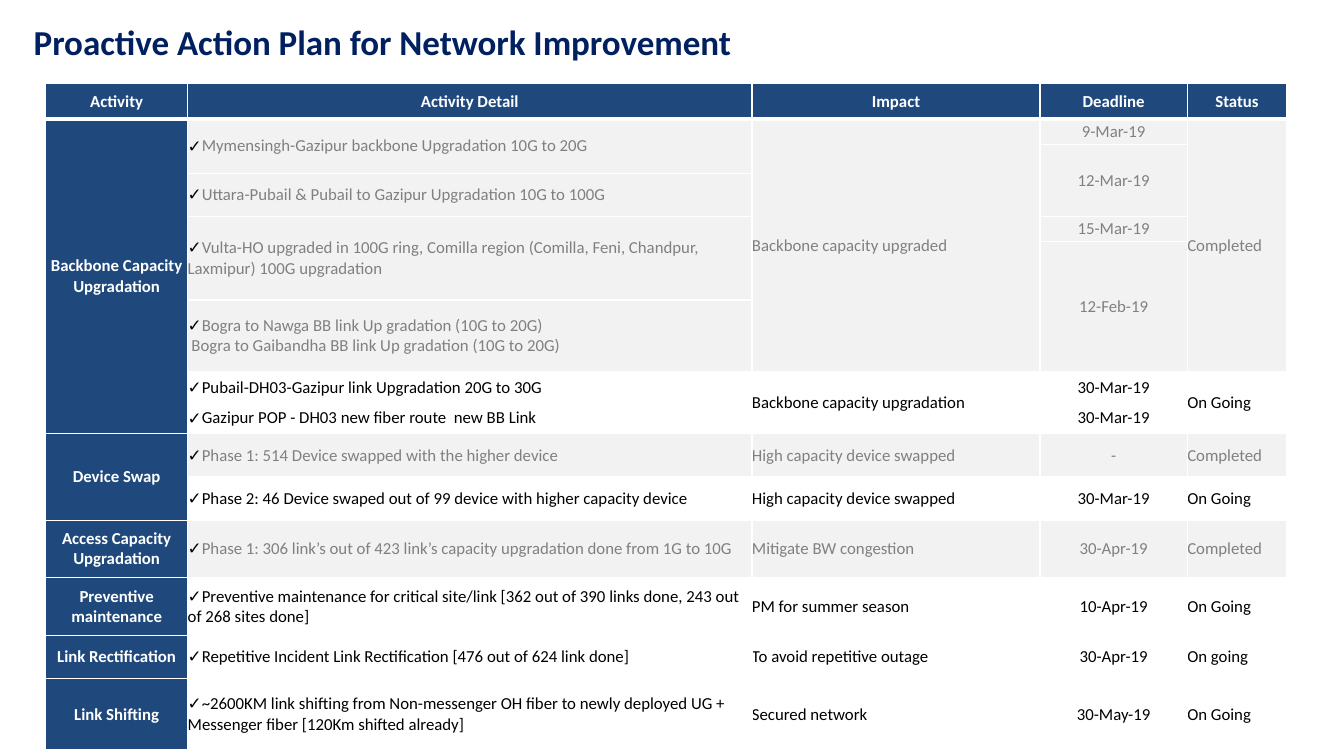
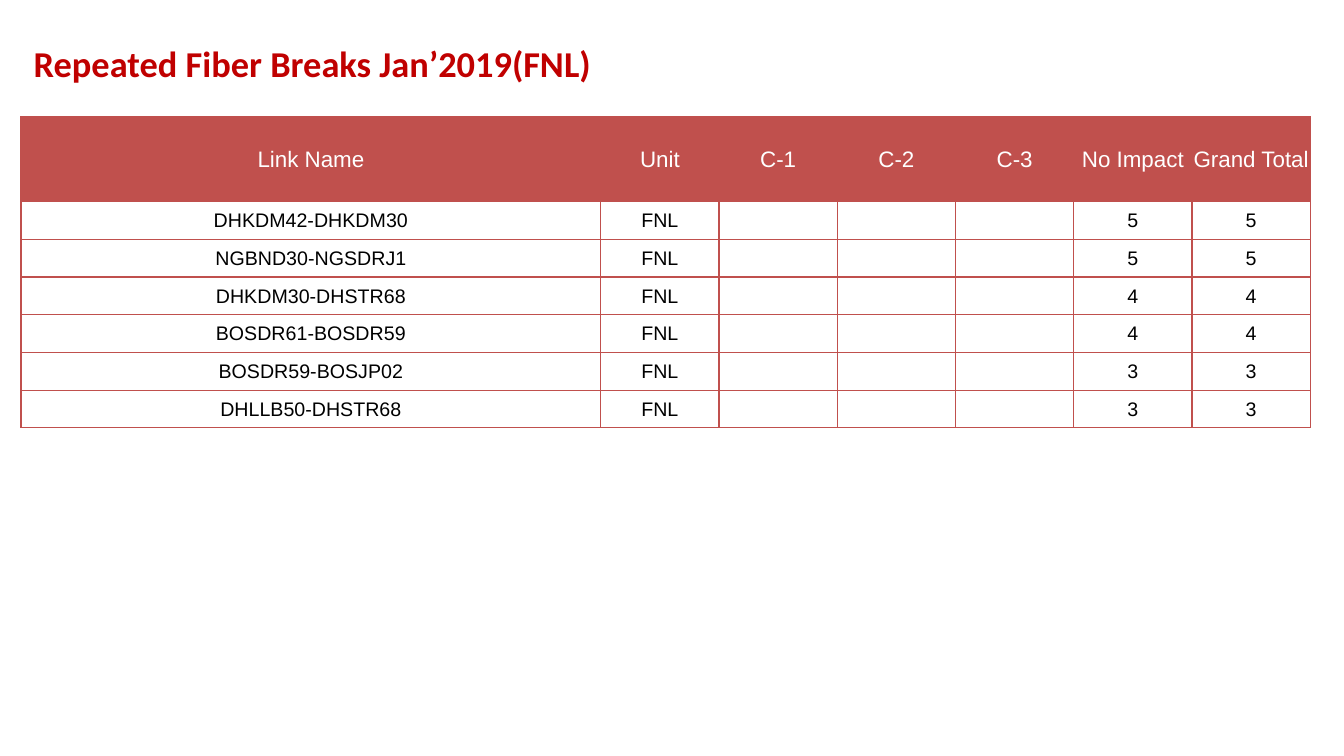
import pptx
import pptx.dml.color
import pptx.enum.text
import pptx.oxml.ns
import pptx.util
from lxml import etree

Cm = pptx.util.Cm
Pt = pptx.util.Pt
RGB = pptx.dml.color.RGBColor
ALIGN = pptx.enum.text.PP_ALIGN
MIDDLE = pptx.enum.text.MSO_ANCHOR.MIDDLE
qn = pptx.oxml.ns.qn

NAVY = RGB(0x00, 0x20, 0x60)
BLUE = RGB(0x1F, 0x49, 0x7D)
CRIMSON = RGB(0xC0, 0x00, 0x00)
BRICK = RGB(0xC0, 0x50, 0x4D)
PALE = RGB(0xF2, 0xF2, 0xF2)
GREY = RGB(0x80, 0x80, 0x80)
WHITE = RGB(0xFF, 0xFF, 0xFF)
BLACK = RGB(0x00, 0x00, 0x00)
PLAIN = "{2D5ABB26-0587-4C30-8999-92F81FD0307C}"  # table style without grid

# Each row: height in cm, then its cells; None continues the cell above.
PLAN_COLS = [3.58, 14.22, 7.26, 3.71, 2.51]
PLAN = [
    (0.89, "Activity", "Activity Detail", "Impact", "Deadline", "Status"),
    (0.64, "Backbone Capacity Upgradation",
     "Mymensingh-Gazipur backbone Upgradation 10G to 20G",
     "Backbone capacity upgraded", "9-Mar-19", "Completed"),
    (0.73, None, None, None, "12-Mar-19", None),
    (1.09, None, "Uttara-Pubail & Pubail to Gazipur Upgradation 10G to 100G",
     None, None, None),
    (0.63, None,
     "Vulta-HO upgraded in 100G ring, Comilla region (Comilla, Feni, "
     "Chandpur, Laxmipur) 100G upgradation", None, "15-Mar-19", None),
    (1.47, None, None, None, "12-Feb-19", None),
    (1.81, None,
     "Bogra to Nawga BB link Up gradation (10G to 20G)\n"
     " Bogra to Gaibandha BB link Up gradation (10G to 20G)",
     None, None, None),
    (0.78, None, "Pubail-DH03-Gazipur link Upgradation 20G to 30G",
     "Backbone capacity upgradation", "30-Mar-19", "On Going"),
    (0.78, None, "Gazipur POP - DH03 new fiber route  new BB Link",
     None, "30-Mar-19", None),
    (1.09, "Device Swap", "Phase 1: 514 Device swapped with the higher device",
     "High capacity device swapped", "-", "Completed"),
    (1.09, None,
     "Phase 2: 46 Device swaped out of 99 device with higher capacity device",
     "High capacity device swapped", "30-Mar-19", "On Going"),
    (1.45, "Access Capacity Upgradation",
     "Phase 1: 306 link’s out of 423 link’s capacity upgradation done "
     "from 1G to 10G", "Mitigate BW congestion", "30-Apr-19", "Completed"),
    (1.45, "Preventive maintenance",
     "Preventive maintenance for critical site/link [362 out of 390 links "
     "done, 243 out of 268 sites done]",
     "PM for summer season", "10-Apr-19", "On Going"),
    (1.09, "Link Rectification",
     "Repetitive Incident Link Rectification [476 out of 624 link done]",
     "To avoid repetitive outage", "30-Apr-19", "On going"),
    (1.8, "Link Shifting",
     "~2600KM link shifting from Non-messenger OH fiber to newly deployed "
     "UG + Messenger fiber [120Km shifted already]",
     "Secured network", "30-May-19", "On Going"),
]

UNIT = "FNL"
BREAK_COLS = [14.61] + [2.98] * 6
BREAK_HEAD = ["Link Name", "Unit", "C-1", "C-2", "C-3", "No Impact",
              "Grand Total"]
BREAKS = [
    ("DHKDM42-DHKDM30", 5), ("NGBND30-NGSDRJ1", 5), ("DHKDM30-DHSTR68", 4),
    ("BOSDR61-BOSDR59", 4), ("BOSDR59-BOSJP02", 3), ("DHLLB50-DHSTR68", 3),
]


def add_title(slide, text, box, size, color):
    shape = slide.shapes.add_textbox(*map(Cm, box))
    frame = shape.text_frame
    frame.word_wrap = True
    frame.margin_left = frame.margin_right = Cm(0.3)
    frame.margin_top = frame.margin_bottom = Cm(0.15)
    frame.text = text
    style_runs(frame.paragraphs[0], "Calibri", size, color, True)


def style_runs(para, face, size, color, bold=False):
    for run in para.runs:
        run.font.name = face
        run.font.size = Pt(size)
        run.font.bold = bold
        run.font.color.rgb = color


def add_grid(slide, left, top, cols, rows):
    """Add an unstyled table; cols and rows are sizes in cm."""
    frame = slide.shapes.add_table(
        len(rows), len(cols), Cm(left), Cm(top), Cm(sum(cols)), Cm(sum(rows)))
    grid = frame.table
    grid.first_row = grid.horz_banding = False
    grid._tbl.tblPr.find(qn("a:tableStyleId")).text = PLAIN
    for col, width in zip(grid.columns, cols):
        col.width = Cm(width)
    for row, height in zip(grid.rows, rows):
        row.height = Cm(height)
    return grid


def set_edges(cell, color, widths):
    """Draw the borders; widths are points for left, right, top, bottom."""
    props = cell._tc.get_or_add_tcPr()
    for side, width in zip("LRTB", widths):
        line = etree.SubElement(props, qn("a:ln" + side), w=str(Pt(width)))
        fill = etree.SubElement(line, qn("a:solidFill"))
        etree.SubElement(fill, qn("a:srgbClr"), val=str(color))


def add_check(para):
    props = para._p.get_or_add_pPr()
    props.set("marL", "0")
    props.set("indent", "0")
    tint = etree.SubElement(props, qn("a:buClr"))
    etree.SubElement(tint, qn("a:srgbClr"), val=str(BLACK))
    etree.SubElement(props, qn("a:buFont"), typeface="Arial")
    etree.SubElement(props, qn("a:buChar"), char="✓")


def fill_cell(cell, text, face, size, color, fill=None, bold=False,
              center=True, check=False, inset=0):
    cell.margin_left = cell.margin_right = cell.margin_top = Cm(inset)
    cell.margin_bottom = 0
    cell.vertical_anchor = MIDDLE
    if fill is None:
        cell.fill.background()
    else:
        cell.fill.solid()
        cell.fill.fore_color.rgb = fill
    para = cell.text_frame.paragraphs[0]
    if check:
        add_check(para)
    para.alignment = ALIGN.CENTER if center else ALIGN.LEFT
    if text:
        para.text = text
        style_runs(para, face, size, color, bold)
    else:
        etree.SubElement(para._p, qn("a:endParaRPr"), sz=str(size * 100))


def add_plan(slide):
    grid = add_grid(slide, 1.15, 2.11, PLAN_COLS, [row[0] for row in PLAN])
    done = False
    for r, (_, *texts) in enumerate(PLAN):
        if texts[-1]:
            done = texts[-1] == "Completed"
        for c, text in enumerate(texts):
            cell = grid.cell(r, c)
            if text is None:
                fill_cell(cell, "", "Calibri", 12, BLACK)
                continue
            set_edges(cell, WHITE, (1, 1, 3 if r == 1 else 1, 1 if r else 3))
            if r == 0 or c == 0:
                look = dict(color=WHITE, fill=BLUE, bold=True)
            elif done:
                look = dict(color=GREY, fill=PALE)
            else:
                look = dict(color=BLACK)
            fill_cell(cell, text, "Calibri", 12, center=r == 0 or c in (0, 3),
                      check=r > 0 and c == 1, **look)
            last = r
            while last + 1 < len(PLAN) and PLAN[last + 1][c + 1] is None:
                last += 1
            if last > r:
                cell.merge(grid.cell(last, c))


def add_breaks(slide):
    rows = [BREAK_HEAD] + [
        [link, UNIT, "", "", "", str(count), str(count)]
        for link, count in BREAKS]
    grid = add_grid(slide, 0.53, 2.95, BREAK_COLS,
                    [2.13] + [0.95] * len(BREAKS))
    for r, texts in enumerate(rows):
        look = (14, BLACK) if r else (16, WHITE, BRICK)
        for c, text in enumerate(texts):
            cell = grid.cell(r, c)
            set_edges(cell, BRICK, (1, 1, 1, 1))
            fill_cell(cell, text, "Arial", *look, inset=0.02)


def main():
    deck = pptx.Presentation()
    deck.slide_width, deck.slide_height = Cm(33.87), Cm(19.05)
    blank = deck.slide_layouts[6]

    slide = deck.slides.add_slide(blank)
    add_title(slide, "Proactive Action Plan for Network Improvement",
              (0.55, 0.38, 20.37, 1.27), 25, NAVY)
    add_plan(slide)

    slide = deck.slides.add_slide(blank)
    add_title(slide, f"Repeated Fiber Breaks Jan’2019({UNIT})",
              (0.55, 0.88, 21.49, 1.73), 26, CRIMSON)
    add_breaks(slide)

    deck.save("out.pptx")


if __name__ == "__main__":
    main()
